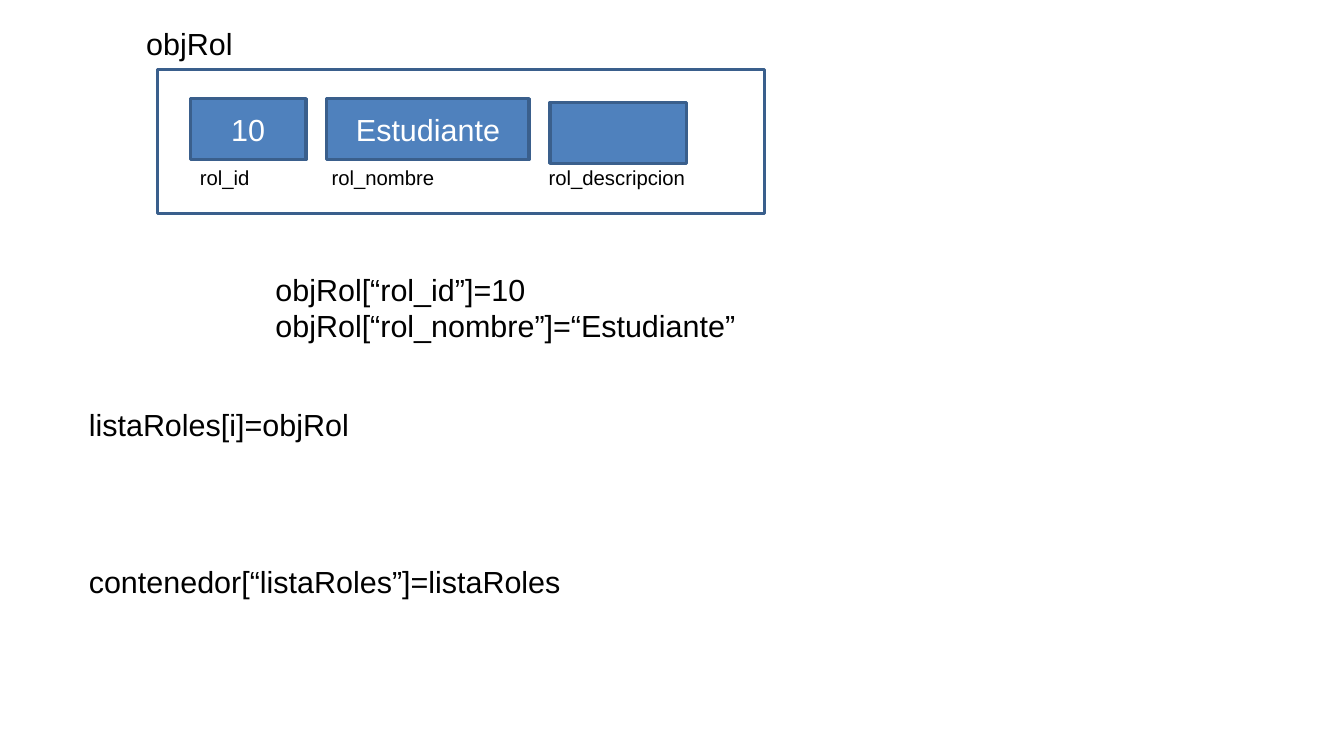
from pptx import Presentation
from pptx.dml.color import RGBColor
from pptx.enum.shapes import MSO_SHAPE
from pptx.enum.text import MSO_ANCHOR, MSO_AUTO_SIZE, PP_ALIGN
from pptx.util import Inches, Pt


def color(hex_code):
    """Turn a hex string into a colour."""
    return RGBColor.from_string(hex_code)


class SlideBuilder:
    """Holds the style and the current slide."""

    FONT = "Arial"
    FILL, OUTLINE = "4F81BD", "3A5F8C"
    LIGHT, DARK = "FFFFFF", "000000"
    BODY, SMALL = 18, 12

    def __init__(self, slide):
        """Keep the slide to draw on and set its background."""
        self.slide = slide
        slide.background.fill.solid()
        slide.background.fill.fore_color.rgb = color(self.LIGHT)

    def set_text(self, frame, lines, size, ink, align):
        """Fill a text frame with one paragraph per line."""
        frame.text = "\n".join(lines)
        for paragraph in frame.paragraphs:
            paragraph.alignment = align
            for run in paragraph.runs:
                run.font.name = self.FONT
                run.font.size = Pt(size)
                run.font.color.rgb = color(ink)

    def box(self, left, top, width, height, text="", filled=True):
        """Draw an outlined rectangle with optional centred text."""
        shape = self.slide.shapes.add_shape(
            MSO_SHAPE.RECTANGLE, Inches(left), Inches(top), Inches(width), Inches(height))
        shape.shadow.inherit = False
        shape.line.color.rgb = color(self.OUTLINE)
        shape.line.width = Pt(2)
        if filled:
            shape.fill.solid()
            shape.fill.fore_color.rgb = color(self.FILL)
        else:
            shape.fill.background()
        if text:
            shape.text_frame.vertical_anchor = MSO_ANCHOR.MIDDLE
            self.set_text(shape.text_frame, [text], self.BODY, self.LIGHT, PP_ALIGN.CENTER)

    def label(self, left, top, width, height, *lines, size=BODY):
        """Place left-aligned text that does not wrap."""
        frame = self.slide.shapes.add_textbox(
            Inches(left), Inches(top), Inches(width), Inches(height)).text_frame
        frame.word_wrap = False
        frame.auto_size = MSO_AUTO_SIZE.SHAPE_TO_FIT_TEXT
        self.set_text(frame, lines, size, self.DARK, PP_ALIGN.LEFT)


prs = Presentation()
prs.slide_width, prs.slide_height = Inches(11.02), Inches(6.2)
builder = SlideBuilder(prs.slides.add_slide(prs.slide_layouts[6]))

# The role object: a frame around its three fields
builder.box(1.29, 0.57, 4.98, 1.18, filled=False)
builder.label(1.1, 0.16, 0.92, 0.4, "objRol")

# Box left, top, width, value; label left, width, name
fields = [
    (1.56, 0.81, 0.95, "10", 1.54, 0.61, "rol_id"),
    (2.68, 0.81, 1.66, "Estudiante", 2.62, 1.05, "rol_nombre"),
    (4.51, 0.84, 1.12, "", 4.4, 1.33, "rol_descripcion"),
]
for left, top, width, value, name_left, name_width, name in fields:
    builder.box(left, top, width, 0.5, value)
    builder.label(name_left, 1.31, name_width, 0.3, name, size=builder.SMALL)

# Assignments
builder.label(2.16, 2.17, 4.01, 1.01,
              "objRol[“rol_id”]=10", "objRol[“rol_nombre”]=“Estudiante”")
builder.label(0.63, 3.28, 2.35, 0.4, "listaRoles[i]=objRol")
builder.label(0.63, 4.57, 4.11, 0.4, "contenedor[“listaRoles”]=listaRoles")

prs.save("out.pptx")
